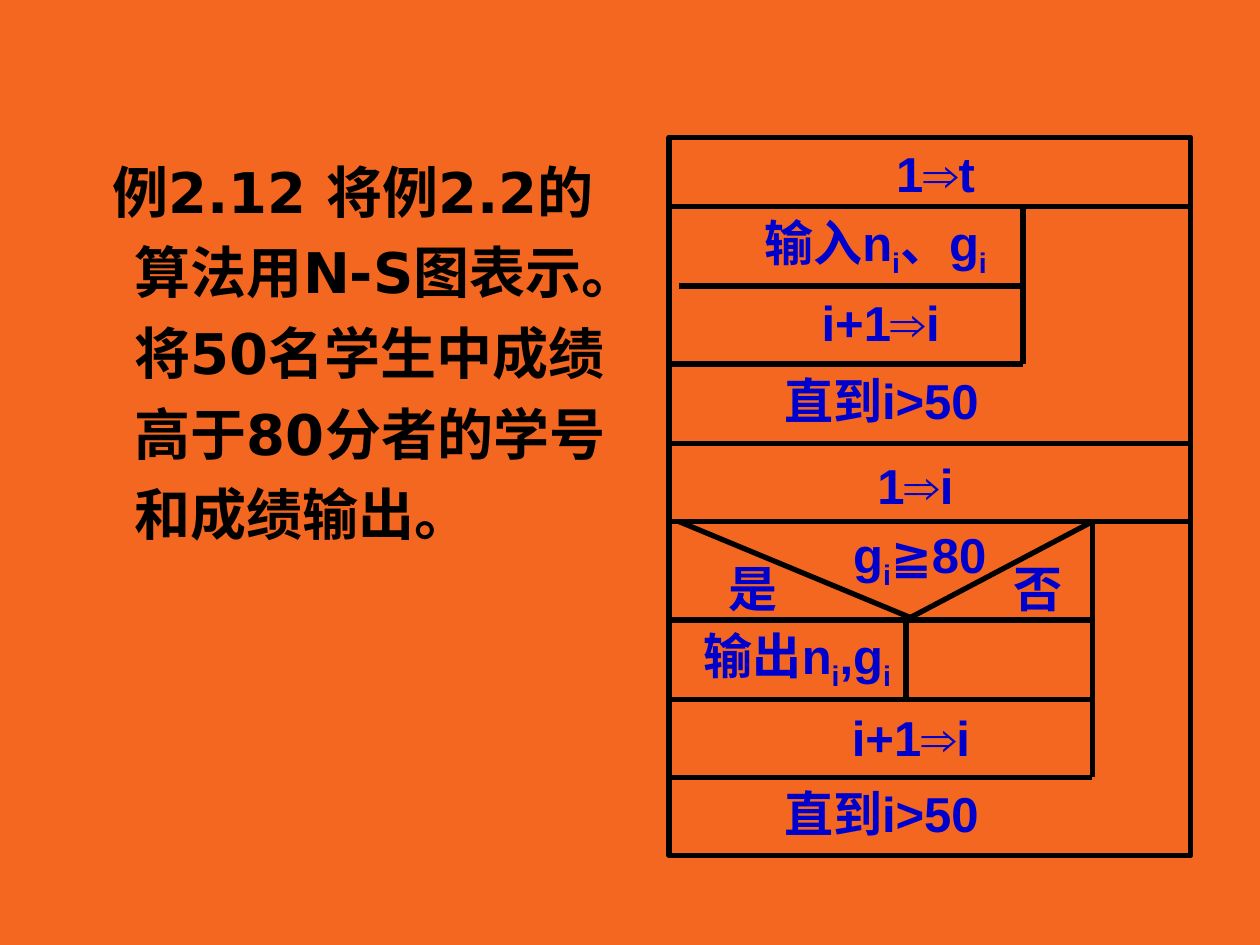
from lxml import etree
from pptx import Presentation
from pptx.dml.color import RGBColor
from pptx.enum.shapes import MSO_CONNECTOR, MSO_SHAPE
from pptx.enum.text import MSO_ANCHOR, MSO_AUTO_SIZE, PP_ALIGN
from pptx.oxml.ns import qn
from pptx.util import Inches, Pt

STRAIGHT = MSO_CONNECTOR.STRAIGHT
PROCESS = MSO_SHAPE.FLOWCHART_PROCESS
PARALLELOGRAM = MSO_SHAPE.PARALLELOGRAM
CENTER = PP_ALIGN.CENTER
TOP, MIDDLE = MSO_ANCHOR.TOP, MSO_ANCHOR.MIDDLE
NO_FIT, GROW = MSO_AUTO_SIZE.NONE, MSO_AUTO_SIZE.SHAPE_TO_FIT_TEXT

ORANGE = RGBColor(0xF3, 0x67, 0x21)
BLACK = RGBColor(0x00, 0x00, 0x00)
BLUE = RGBColor(0x00, 0x00, 0xCC)

LABEL_HEIGHT = 0.57
STEP_HEIGHT = 0.62

LINES = [
    (0, 0.55, 4.14, 0.55),
    (0.08, 1.18, 2.81, 1.18),
    (0, 1.8, 2.81, 1.8),
    (2.81, 0.55, 2.81, 1.8),
    (0, 2.43, 4.14, 2.43),
    (0, 3.05, 4.14, 3.05),
    (0.08, 3.05, 1.96, 3.83),
    (3.36, 3.05, 1.88, 3.83),
    (0, 3.83, 3.36, 3.83),
    (1.88, 3.83, 1.88, 4.46),
    (0, 4.46, 3.36, 4.46),
    (0, 5.08, 3.36, 5.08),
    (3.36, 3.05, 3.36, 5.08),
]
LABELS = [
    ("1⇒t", 1.57, 0, 1.09),
    ("i+1⇒i", 0.94, 1.18, 1.48),
    ("直到i>50", 0.63, 1.8, 2.11),
    ("1⇒i", 1.41, 2.48, 1.09),
    ("g_i_≧80", 1.25, 3.02, 1.48),
    ("是", 0.24, 3.29, 0.86),
    ("否", 2.5, 3.29, 0.86),
    ("i+1⇒i", 1.18, 4.48, 1.48),
    ("直到i>50", 0.63, 5.08, 2.11),
]
STEPS = [
    ("输入n_i_、g_i_", 0.39, 0.55, 2.5),
    ("输出n_i_,g_i_", -0.15, 3.83, 2.34),
]


def format_run(run, font_name, size, color):
    run.font.name = font_name
    run.font.size = Pt(size)
    run.font.bold = True
    run.font.color.rgb = color


def write_label(text_frame, text):
    paragraph = text_frame.paragraphs[0]
    paragraph.alignment = CENTER
    for index, part in enumerate(text.split("_")):
        if not part:
            continue
        run = paragraph.add_run()
        run.text = part
        format_run(run, "Arial", 28, BLUE)
        if index % 2:
            run.font._element.set("baseline", "-25000")


def add_line(slide, left, top, ends):
    x1, y1, x2, y2 = ends
    line = slide.shapes.add_connector(
        STRAIGHT, Inches(left + x1), Inches(top + y1), Inches(left + x2), Inches(top + y2))
    line.line.color.rgb = BLACK
    line.line.width = Pt(3)
    etree.SubElement(line._element.spPr, qn("a:effectLst"))


def add_label(slide, text, left, top, width):
    label = slide.shapes.add_textbox(
        Inches(left), Inches(top), Inches(width), Inches(LABEL_HEIGHT))
    label.text_frame.word_wrap = True
    label.text_frame.auto_size = GROW
    write_label(label.text_frame, text)


def add_step(slide, text, left, top, width):
    step = slide.shapes.add_shape(
        PARALLELOGRAM, Inches(left), Inches(top), Inches(width), Inches(STEP_HEIGHT))
    step.shadow.inherit = False
    step.fill.background()
    step.line.fill.background()
    frame = step.text_frame
    frame.margin_left = frame.margin_right = frame.margin_top = frame.margin_bottom = 0
    frame.word_wrap = False
    frame.vertical_anchor = MIDDLE
    write_label(frame, text)


def add_ns_diagram(slide, left, top, width, height):
    outline = slide.shapes.add_shape(
        PROCESS, Inches(left), Inches(top), Inches(width), Inches(height))
    outline.shadow.inherit = False
    outline.fill.background()
    outline.line.color.rgb = BLACK
    outline.line.width = Pt(3)
    for ends in LINES:
        add_line(slide, left, top, ends)
    for text, x, y, label_width in LABELS:
        add_label(slide, text, left + x, top + y, label_width)
    for text, x, y, step_width in STEPS:
        add_step(slide, text, left + x, top + y, step_width)


def fill_problem_text(body, left, top, width, height):
    body.left, body.top = Inches(left), Inches(top)
    body.width, body.height = Inches(width), Inches(height)
    frame = body.text_frame
    frame.text = "例2.12 将例2.2的算法用N-S图表示。将50名学生中成绩高于80分者的学号和成绩输出。"
    frame.word_wrap = True
    frame.auto_size = NO_FIT
    frame.vertical_anchor = TOP
    paragraph = frame.paragraphs[0]
    paragraph.line_spacing = 1.2
    properties = paragraph._p.get_or_add_pPr()
    properties.set("marL", str(Inches(0.38)))
    properties.set("indent", str(Inches(-0.18)))
    etree.SubElement(properties, qn("a:buNone"))
    format_run(paragraph.runs[0], "DejaVu Sans", 32, BLACK)


def main():
    presentation = Presentation()
    presentation.slide_width = Inches(10)
    presentation.slide_height = Inches(7.5)
    slide = presentation.slides.add_slide(presentation.slide_layouts[1])
    slide.background.fill.solid()
    slide.background.fill.fore_color.rgb = ORANGE
    title = slide.shapes.title._element
    title.getparent().remove(title)
    fill_problem_text(slide.placeholders[1], 0.59, 1.09, 4.57, 5.6)
    add_ns_diagram(slide, 5.31, 1.09, 4.14, 5.7)
    presentation.save("out.pptx")


if __name__ == "__main__":
    main()
